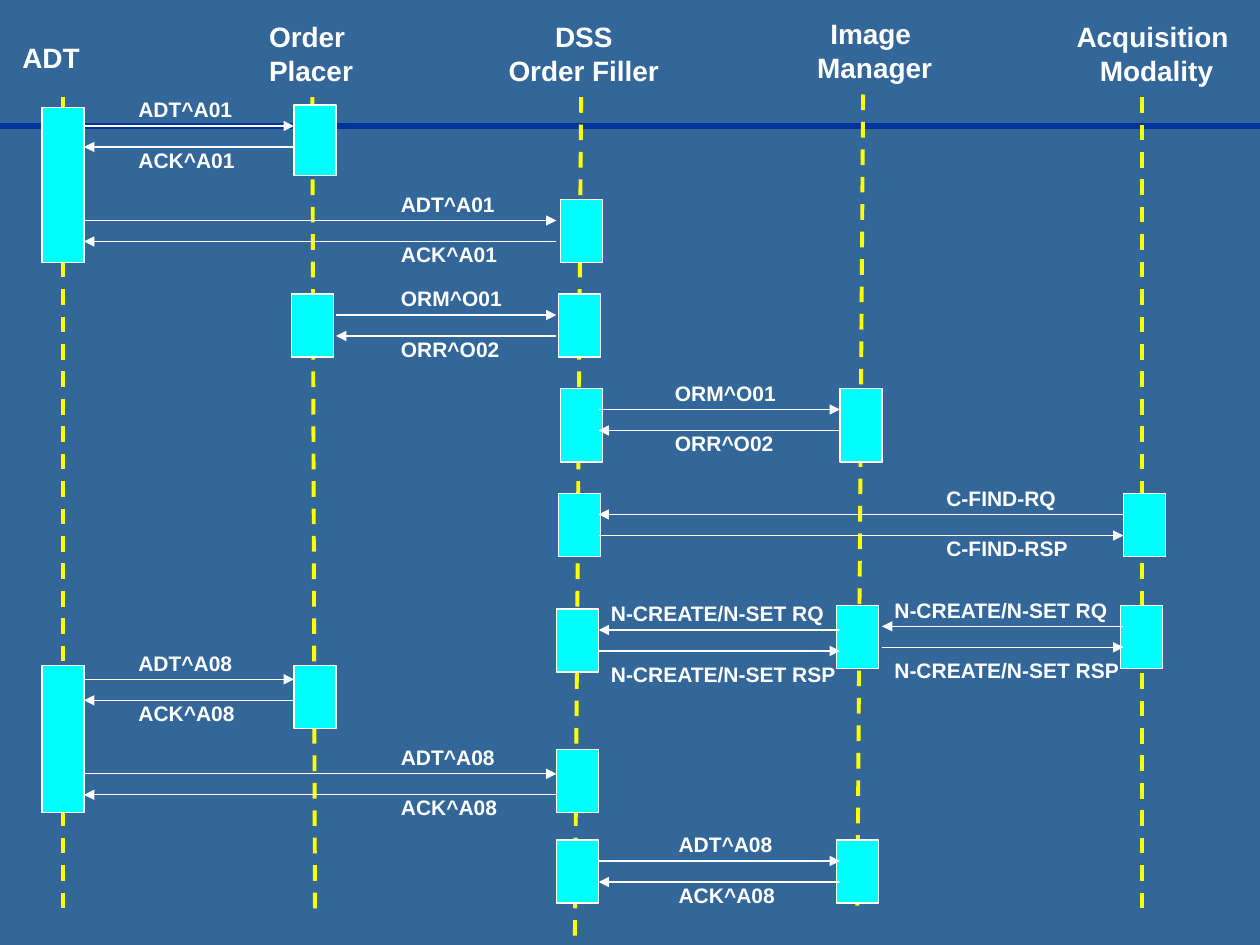
from typing import NamedTuple

from lxml.etree import SubElement
from pptx import Presentation
from pptx.dml.color import RGBColor
from pptx.enum.dml import MSO_LINE_DASH_STYLE as Dash
from pptx.enum.shapes import MSO_CONNECTOR as Connector, MSO_SHAPE as Shape
from pptx.enum.text import MSO_AUTO_SIZE as AutoSize, PP_ALIGN as Align
from pptx.oxml.ns import qn
from pptx.util import Inches, Pt

BLUE = RGBColor(0x33, 0x66, 0x99)
NAVY = RGBColor(0x00, 0x33, 0x99)
YELLOW = RGBColor(0xFF, 0xFF, 0x00)
CYAN = RGBColor(0x00, 0xFF, 0xFF)
WHITE = RGBColor(0xFF, 0xFF, 0xFF)

# The grid has twelve cells to the inch
COLUMNS, ROWS = 120, 90
BAR_WIDTH = 4
REPLY_GAP = 2
LABEL_HEIGHT = 3.6


class Actor(NamedTuple):
    lines: list[str]
    center: float
    top: float
    width: float
    height: float
    life_start: tuple[float, float]
    life_end: tuple[float, float]
    bars: list[tuple[float, float, float]]  # column, row, height


class Exchange(NamedTuple):
    left: float
    right: float
    row: float
    request: str
    reply: str
    label_column: float
    rightward: bool = True
    reply_drop: float = 1.42


ACTORS = [
    Actor(["ADT"], 4.95, 3.26, 8, 4.4, (6, 9.25), (6, 87.25),
          [(4, 10.25, 14.75), (4, 63.4, 14)]),
    Actor(["Order ", "Placer"], 29.62, 1.3, 10.5, 7.7, (29.75, 9.25), (30, 87.25),
          [(28, 10, 6.7), (27.75, 28, 6), (28, 63.4, 6)]),
    Actor(["DSS", "Order Filler"], 55.6, 1.3, 16.9, 7.7, (55.35, 9.25), (54.75, 90),
          [(53.4, 19, 6), (53.2, 28, 6), (53.4, 37, 7), (53.2, 47, 6),
           (53, 58, 6), (53, 71.4, 6), (53, 80, 6)]),
    Actor(["Image ", "Manager"], 83.3, 1, 13.4, 7.7, (82.2, 9), (81.65, 87.25),
          [(80, 37, 7), (79.65, 57.65, 6), (79.65, 80, 6)]),
    Actor(["Acquisition ", "Modality"], 110.15, 1.3, 17.7, 7.7, (108.72, 9.25), (108.72, 87.25),
          [(107, 47, 6), (106.7, 57.65, 6)]),
]

EXCHANGES = [
    Exchange(8, 28, 12, "ADT^A01", "ACK^A01", 12),
    Exchange(8, 53, 21, "ADT^A01", "ACK^A01", 37),
    Exchange(32, 53, 30, "ORM^O01", "ORR^O02", 37),
    Exchange(57, 80, 39, "ORM^O01", "ORR^O02", 63.1),
    Exchange(57, 107, 49, "C-FIND-RQ", "C-FIND-RSP", 88.95, False),
    Exchange(84, 107, 59.65, "N-CREATE/N-SET RQ", "N-CREATE/N-SET RSP", 84, False, 2.4),
    Exchange(57, 80, 60, "N-CREATE/N-SET RQ", "N-CREATE/N-SET RSP", 57, False, 2.4),
    Exchange(8, 28, 64.7, "ADT^A08", "ACK^A08", 12),
    Exchange(8, 53, 73.7, "ADT^A08", "ACK^A08", 37),
    Exchange(57, 80, 82, "ADT^A08", "ACK^A08", 63.45),
]

LABEL_WIDTHS = {
    "ADT^A01": 11.5, "ACK^A01": 11.7, "ADT^A08": 11.5, "ACK^A08": 11.7,
    "ORM^O01": 12.1, "ORR^O02": 11.9, "C-FIND-RQ": 13, "C-FIND-RSP": 14.1,
    "N-CREATE/N-SET RQ": 22.9, "N-CREATE/N-SET RSP": 24.1,
}


def cells(count: float) -> int:
    return Inches(count / 12)


def add_line(page, start: tuple, end: tuple, color: RGBColor, weight: float,
             dashed: bool = False, arrow: bool = False) -> None:
    line = page.shapes.add_connector(Connector.STRAIGHT, *map(cells, (*start, *end)))
    line.line.color.rgb = color
    line.line.width = Pt(weight)
    if dashed:
        line.line.dash_style = Dash.DASH
    if arrow:
        SubElement(line.line._get_or_add_ln(), qn("a:tailEnd"), type="triangle")
    SubElement(line._element.spPr, qn("a:effectLst"))


def add_text(page, lines: list[str], left: float, top: float, width: float,
             height: float, size: int, align: Align) -> None:
    box = page.shapes.add_textbox(*map(cells, (left, top, width, height)))
    frame = box.text_frame
    frame.word_wrap = False
    frame.auto_size = AutoSize.SHAPE_TO_FIT_TEXT
    frame.text = "\n".join(lines)
    for para in frame.paragraphs:
        para.alignment = align
        font = para.font
        font.name, font.size, font.bold = "Arial", Pt(size), True
        font.color.rgb = WHITE


def add_bar(page, column: float, row: float, height: float) -> None:
    bar = page.shapes.add_shape(Shape.RECTANGLE, *map(cells, (column, row, BAR_WIDTH, height)))
    bar.shadow.inherit = False
    bar.fill.solid()
    bar.fill.fore_color.rgb = CYAN
    bar.line.color.rgb = WHITE
    bar.line.width = Pt(0.75)


def add_actor(page, actor: Actor) -> None:
    align = Align.CENTER if len(actor.lines) > 1 else Align.LEFT
    add_text(page, actor.lines, actor.center - actor.width / 2, actor.top,
             actor.width, actor.height, 16, align)
    add_line(page, actor.life_start, actor.life_end, YELLOW, 2.25, dashed=True)
    for bar in actor.bars:
        add_bar(page, *bar)


def add_exchange(page, exchange: Exchange) -> None:
    source, target = exchange.left, exchange.right
    if not exchange.rightward:
        source, target = target, source
    row, reply_row = exchange.row, exchange.row + REPLY_GAP
    add_line(page, (source, row), (target, row), WHITE, 0.75, arrow=True)
    add_line(page, (target, reply_row), (source, reply_row), WHITE, 0.75, arrow=True)
    for label, top in ((exchange.request, row - 3.36),
                       (exchange.reply, row + exchange.reply_drop)):
        add_text(page, [label], exchange.label_column, top,
                 LABEL_WIDTHS[label], LABEL_HEIGHT, 12, Align.LEFT)


def main() -> None:
    deck = Presentation()
    deck.slide_width, deck.slide_height = cells(COLUMNS), cells(ROWS)
    page = deck.slides.add_slide(deck.slide_layouts[6])
    page.background.fill.solid()
    page.background.fill.fore_color.rgb = BLUE

    # Rule across the slide
    add_line(page, (0, 12), (COLUMNS, 12), NAVY, 3)
    # Actors with their lifelines and activation bars
    for actor in ACTORS:
        add_actor(page, actor)
    # Messages between the actors
    for exchange in EXCHANGES:
        add_exchange(page, exchange)

    deck.save("out.pptx")


if __name__ == "__main__":
    main()
